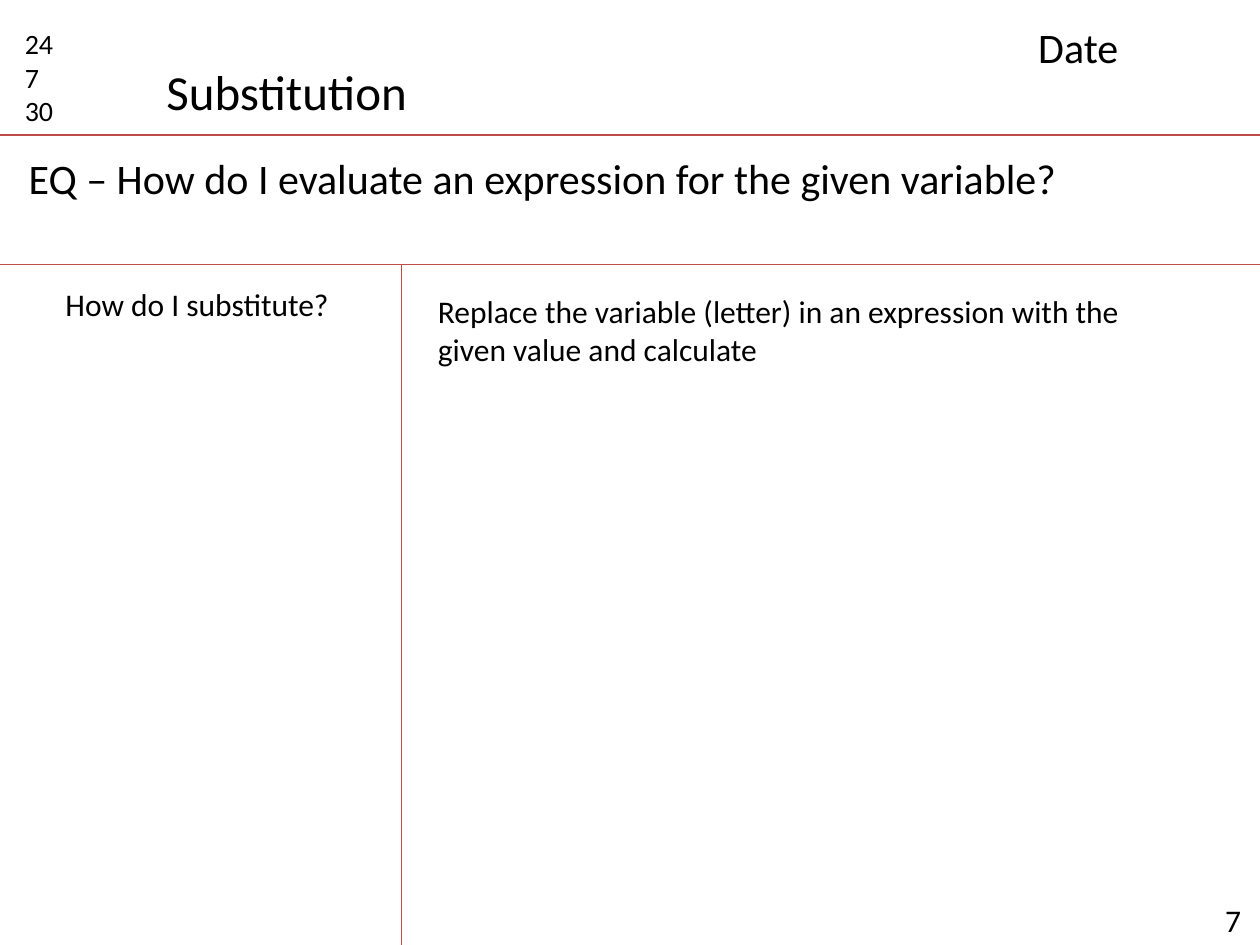
from lxml import etree
from pptx import Presentation
from pptx.dml.color import RGBColor
from pptx.enum import shapes, text
from pptx.oxml.ns import qn
from pptx.util import Cm, Pt

BLACK = RGBColor(0x00, 0x00, 0x00)
RED = RGBColor(0xBF, 0x4C, 0x48)
FONT = "Calibri"
WIDTH, HEIGHT = 25.4, 19.05
HEADER_BOTTOM, QUESTION_BOTTOM = 2.72, 5.33
CUE_WIDTH = 8.1


def style_text(sp, content, size, wrap=True):
    tf = sp.text_frame
    tf.text = content
    tf.word_wrap = wrap
    tf.auto_size = text.MSO_AUTO_SIZE.NONE
    tf.vertical_anchor = text.MSO_ANCHOR.TOP
    for p in tf.paragraphs:
        p.alignment = text.PP_ALIGN.LEFT
        for r in p.runs:
            r.font.name = FONT
            r.font.size = Pt(size)
            r.font.color.rgb = BLACK


def add_label(s, content, size, x, y, w, h, wrap=True):
    sp = s.shapes.add_textbox(Cm(x), Cm(y), Cm(w), Cm(h))
    style_text(sp, content, size, wrap)


def add_rule(s, x1, y1, x2, y2):
    line = s.shapes.add_connector(
        shapes.MSO_CONNECTOR.STRAIGHT, Cm(x1), Cm(y1), Cm(x2), Cm(y2))
    line.line.color.rgb = RED
    line.line.width = Pt(0.75)
    etree.SubElement(line._element.spPr, qn("a:effectLst"))


def add_header(s, x, y, w, h):
    title = s.shapes.title
    title.left, title.top = Cm(x + 3.1), Cm(y + 1.12)
    title.width, title.height = Cm(5.44), Cm(1.45)
    style_text(title, "Substitution", 28, wrap=False)
    add_label(s, "24\n7\n30", 16, x + 0.25, y + 0.41, 1.6, 2.31)
    add_label(s, "Date", 24, x + w - 4.72, y + 0.3, 4.39, 1.27)
    add_rule(s, x, y + h, x + w, y + h)


def add_question(s, x, y, w, h):
    add_label(s, "EQ – How do I evaluate an expression for the given variable?",
              24, x + 0.33, y + 0.23, 23.95, 1.27)
    add_rule(s, x, y + h, x + w, y + h)


def add_notes(s, x, y, w, h):
    divider = x + CUE_WIDTH
    add_rule(s, divider, y, divider, y + h)
    add_label(s, "How do I substitute?", 18, x + 1.07, y + 0.3, 5.89, 1.02, wrap=False)
    add_label(s, "Replace the variable (letter) in an expression with the "
              "given value and calculate",
              18, divider + 0.48, y + 0.44, 14.6, 1.8)
    add_label(s, "7", 18, x + w - 0.95, y + h - 1.02, 0.95, 1.02)


def main():
    prs = Presentation()
    prs.slide_width, prs.slide_height = Cm(WIDTH), Cm(HEIGHT)
    s = prs.slides.add_slide(prs.slide_layouts.get_by_name("Title Only"))
    add_header(s, 0, 0, WIDTH, HEADER_BOTTOM)
    add_question(s, 0, HEADER_BOTTOM, WIDTH, QUESTION_BOTTOM - HEADER_BOTTOM)
    add_notes(s, 0, QUESTION_BOTTOM, WIDTH, HEIGHT - QUESTION_BOTTOM)
    prs.save("out.pptx")


if __name__ == "__main__":
    main()
